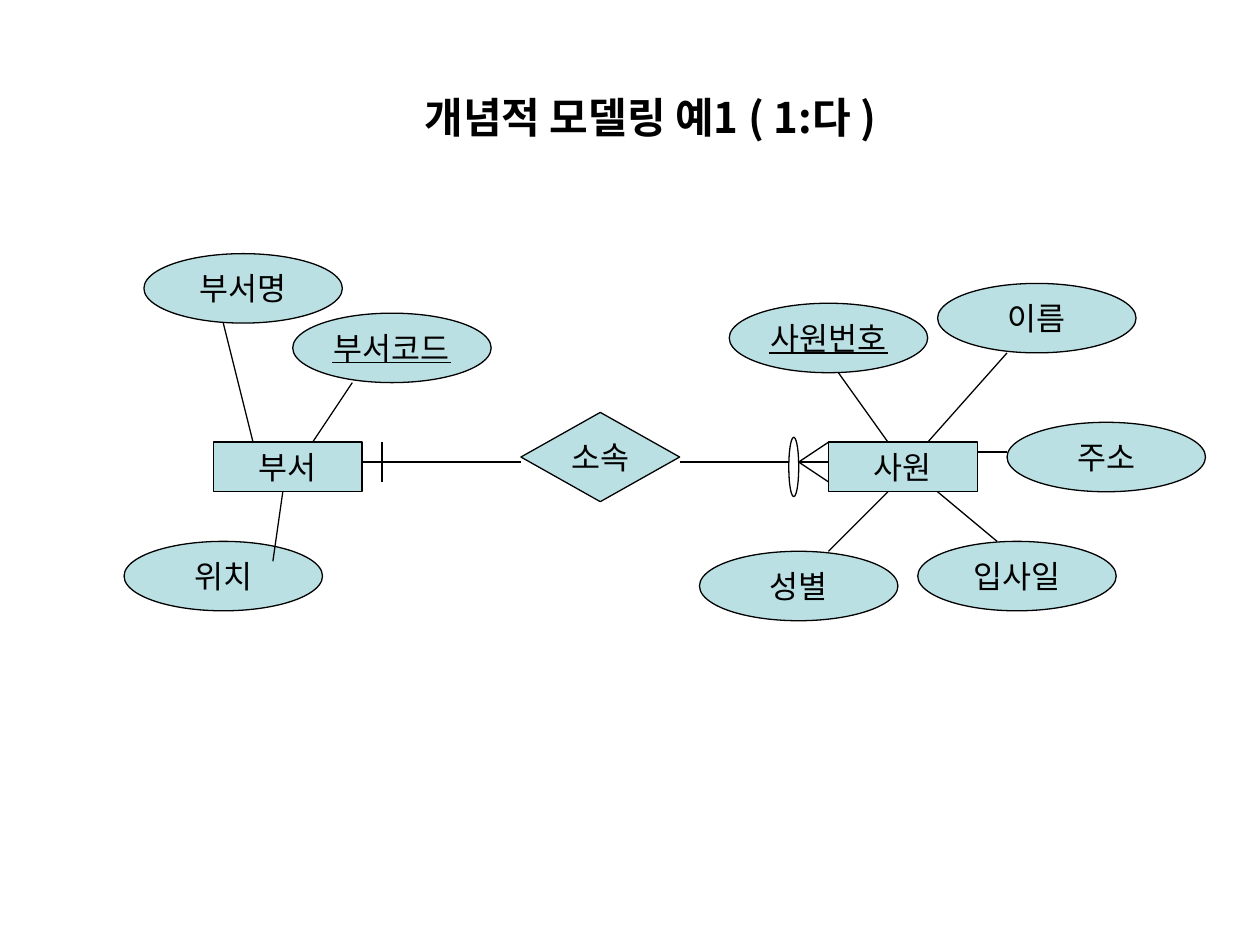
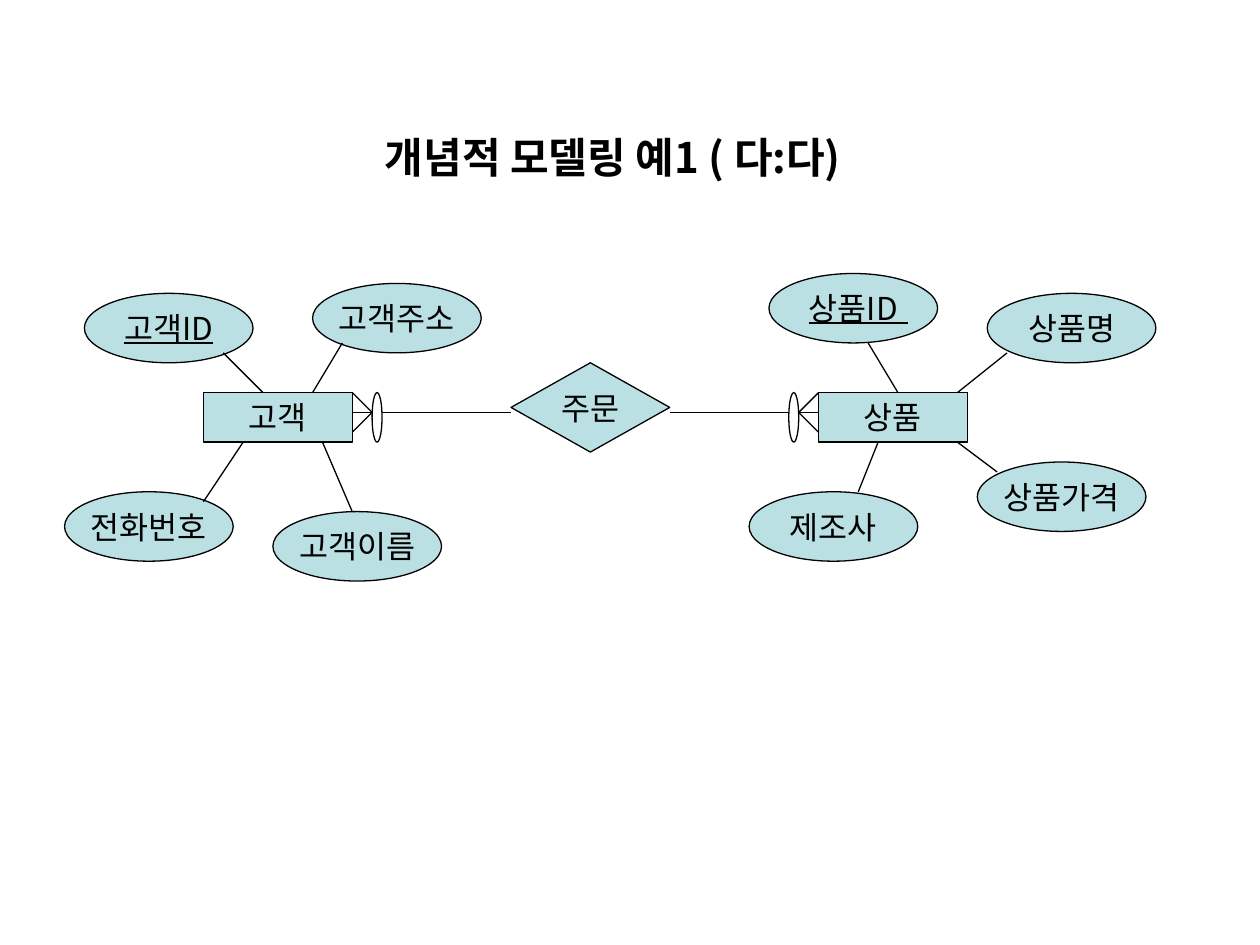
from lxml.etree import SubElement
from pptx import Presentation
from pptx.dml.color import RGBColor
from pptx.enum.shapes import MSO_CONNECTOR, MSO_SHAPE
from pptx.enum.text import MSO_ANCHOR, MSO_AUTO_SIZE, PP_ALIGN
from pptx.oxml.ns import qn
from pptx.util import Inches, Pt

BLACK = RGBColor(0x00, 0x00, 0x00)
WHITE = RGBColor(0xFF, 0xFF, 0xFF)
PALE_TEAL = RGBColor(0xBB, 0xE0, 0xE3)
FONT = "Noto Sans CJK KR"
LINE_WIDTH = Pt(0.75)

# Both diagrams sit on a 2 mm grid
GRID = 2 / 25.4
GRID_LEFT, GRID_TOP = 0.04, 0.045
ENTITY_SIZE = (15, 5)
RELATION_SIZE = (16, 9)
ATTRIBUTE_HEIGHT = 7
TITLE_HEIGHT = 6.35


def span(cells):
    return Inches(cells * GRID)


def at(col, row):
    return Inches(GRID_LEFT + col * GRID), Inches(GRID_TOP + row * GRID)


def format_text(frame, size, align, bold=False):
    paragraph = frame.paragraphs[0]
    paragraph.alignment = align
    for run in paragraph.runs:
        run.font.size = Pt(size)
        run.font.bold = bold
        run.font.color.rgb = BLACK
        run.font.name = FONT
        SubElement(run._r.get_or_add_rPr(), qn("a:ea"), typeface=FONT)


def add_title(slide, text, col, row, width):
    title = slide.shapes.title
    title.left, title.top = at(col, row)
    title.width, title.height = span(width), span(TITLE_HEIGHT)
    frame = title.text_frame
    frame.text = text
    frame.word_wrap = True
    frame.auto_size = MSO_AUTO_SIZE.SHAPE_TO_FIT_TEXT
    frame.vertical_anchor = MSO_ANCHOR.TOP
    format_text(frame, 24, PP_ALIGN.LEFT, bold=True)


def add_node(slide, preset, corner, size, text="", fill=PALE_TEAL):
    node = slide.shapes.add_shape(preset, *at(*corner), *map(span, size))
    node.shadow.inherit = False
    node.fill.solid()
    node.fill.fore_color.rgb = fill
    node.line.color.rgb = BLACK
    node.line.width = LINE_WIDTH
    if text:
        frame = node.text_frame
        frame.text = text
        frame.word_wrap = False
        frame.vertical_anchor = MSO_ANCHOR.MIDDLE
        format_text(frame, 18, PP_ALIGN.CENTER)


def add_line(slide, start, end):
    line = slide.shapes.add_connector(MSO_CONNECTOR.STRAIGHT, *at(*start), *at(*end))
    line.line.color.rgb = BLACK
    line.line.width = LINE_WIDTH
    SubElement(line._element.spPr, qn("a:effectLst"))


def add_many_end(slide, edge, tip, row, oval_height):
    """Crow's foot from the entity edge to its tip, with an oval beyond it."""
    for toe in (row - 2, row + 2):
        add_line(slide, (edge, toe), (tip, row))
    oval_col = tip if tip > edge else tip - 1
    oval_row = row + 0.5 - oval_height / 2
    add_node(slide, MSO_SHAPE.OVAL, (oval_col, oval_row), (1, oval_height), fill=WHITE)


def add_one_end(slide, col, row):
    add_line(slide, (col, row - 2), (col, row + 2))


def add_relation(slide, left_entity, relation, right_entity, top, left, middle, right):
    """Two entities, with the relation diamond and its lines between them."""
    axis = top + 2
    for name, col in ((left_entity, left), (right_entity, right)):
        add_node(slide, MSO_SHAPE.RECTANGLE, (col, top), ENTITY_SIZE, name)
    add_node(slide, MSO_SHAPE.FLOWCHART_DECISION, (middle, top - 3), RELATION_SIZE, relation)
    add_line(slide, (left + ENTITY_SIZE[0], axis), (middle, axis))
    add_line(slide, (middle + RELATION_SIZE[0], axis), (right, axis))


def add_attributes(slide, width, attributes, key_lines):
    for name, corner, _, _ in attributes:
        add_node(slide, MSO_SHAPE.OVAL, corner, (width, ATTRIBUTE_HEIGHT), name)
    for start_col, end_col, row in key_lines:
        add_line(slide, (start_col, row), (end_col, row))
    for _, _, start, end in attributes:
        add_line(slide, start, end)


# Each attribute: name, top-left cell, link start, link end
STAFF_ATTRIBUTES = [
    ("부서코드", (29, 31), (35, 38), (31, 44)),
    ("주소", (101, 42), (98, 45), (101, 45)),
    ("이름", (94, 28), (101, 35), (93, 44)),
    ("사원번호", (73, 30), (84, 37), (89, 44)),
    ("위치", (12, 54), (28, 49), (27, 56)),
    ("부서명", (14, 25), (22, 32), (25, 44)),
    ("성별", (70, 55), (89, 49), (83, 55)),
    ("입사일", (92, 54), (94, 49), (100, 54)),
]
ORDER_ATTRIBUTES = [
    ("고객주소", (31, 28), (34, 34), (31, 39)),
    ("고객이름", (27, 51), (32, 44), (35, 51)),
    ("전화번호", (6, 49), (24, 44), (20, 50)),
    ("고객ID", (8, 29), (22, 35), (26, 39)),
    ("제조사", (75, 49), (88, 44), (86, 49)),
    ("상품가격", (98, 46), (96, 44), (100, 47)),
    ("상품명", (99, 29), (96, 39), (101, 35)),
    ("상품ID", (77, 27), (87, 34), (90, 39)),
]


def main():
    deck = Presentation()
    deck.slide_width, deck.slide_height = Inches(10), Inches(7.5)
    title_only = deck.slide_layouts[5]

    # One department to many employees
    staff = deck.slides.add_slide(title_only)
    add_title(staff, "개념적 모델링 예1 ( 1:다 )", 41, 8, 52)
    add_relation(staff, "부서", "소속", "사원", top=44, left=21, middle=52, right=83)
    add_one_end(staff, 38, 46)
    add_many_end(staff, 83, 80, 46, oval_height=6)
    add_attributes(staff, 20, STAFF_ATTRIBUTES, [(33, 45, 36), (77, 89, 35)])

    # Many customers to many goods
    order = deck.slides.add_slide(title_only)
    add_title(order, "개념적 모델링 예1 ( 다:다)", 37, 12, 54)
    add_relation(order, "고객", "주문", "상품", top=39, left=20, middle=51, right=82)
    add_many_end(order, 35, 37, 41, oval_height=5)
    add_many_end(order, 82, 80, 41, oval_height=5)
    add_attributes(order, 17, ORDER_ATTRIBUTES, [(12, 21, 34), (81, 91, 32)])

    deck.save("out.pptx")


if __name__ == "__main__":
    main()
